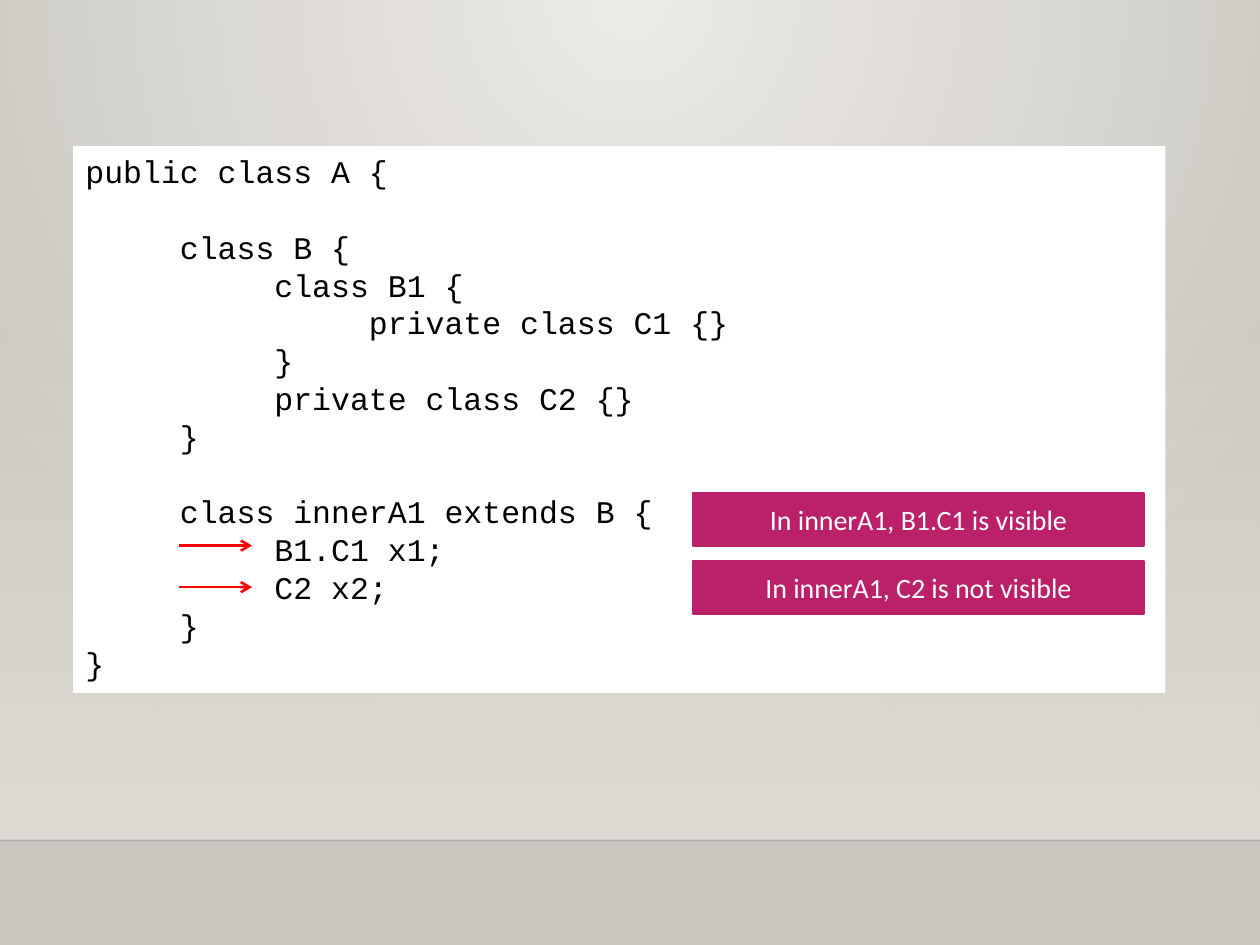
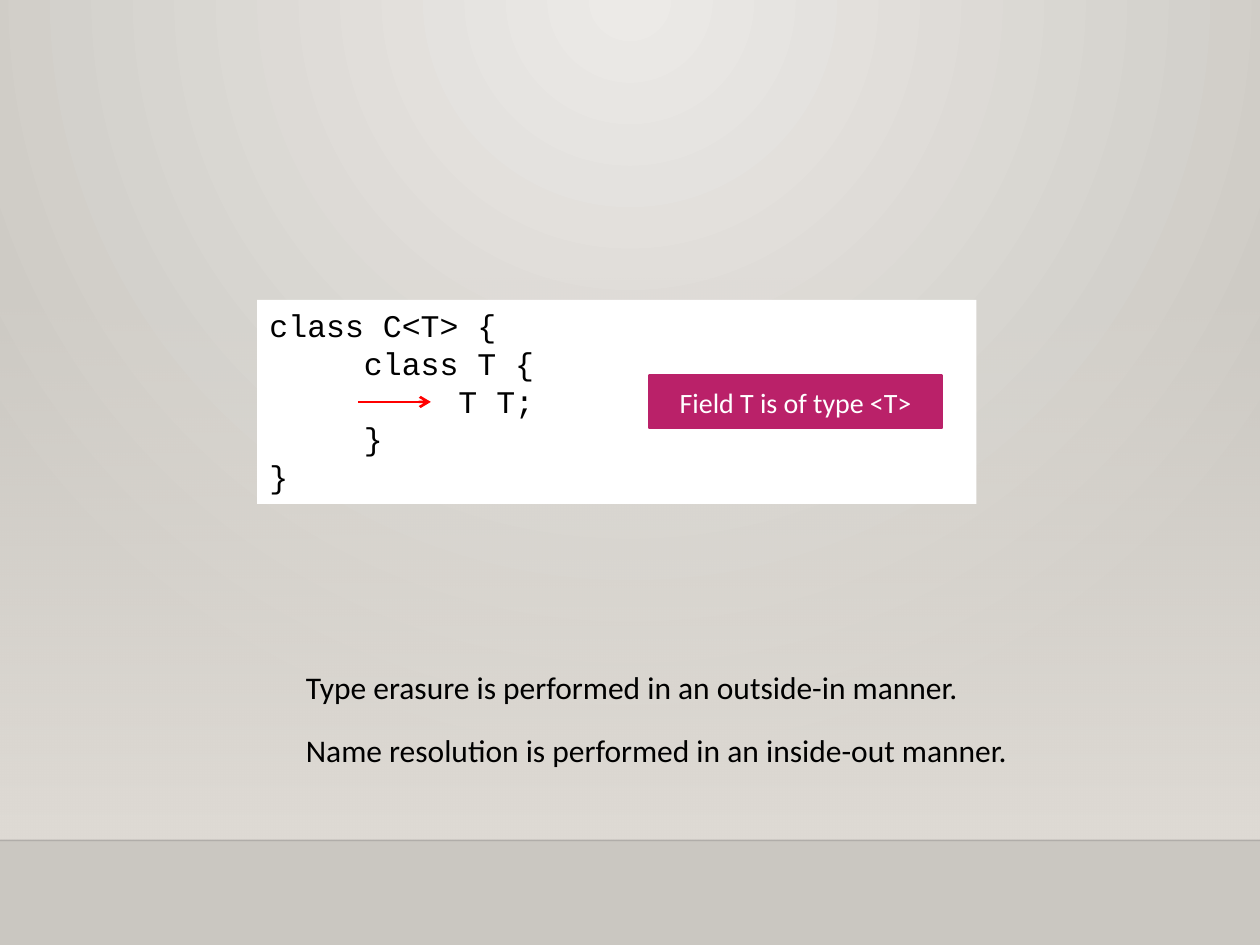
"""Builds two slides on the visibility and naming of Java inner classes."""
from lxml.etree import SubElement
from pptx import Presentation
from pptx.dml.color import RGBColor
from pptx.enum.shapes import MSO_CONNECTOR, MSO_SHAPE
from pptx.enum.text import MSO_ANCHOR, MSO_AUTO_SIZE, PP_ALIGN
from pptx.oxml import parse_xml
from pptx.oxml.ns import nsdecls, qn
from pptx.util import Inches, Pt

SLIDES = [
    {
        "code_at": (0.58, 1.16, 8.67, 4.34),
        "code": [
            (0, "public class A {"),
            (1, ""),
            (1, "class B {"),
            (2, "class B1 {"),
            (3, "private class C1 {}"),
            (2, "}"),
            (2, "private class C2 {}"),
            (1, "}"),
            (1, ""),
            (1, "class innerA1 extends B {"),
            (2, "B1.C1 x1;"),
            (2, "C2 x2;"),
            (1, "}"),
            (0, "}"),
        ],
        "callouts": [
            ("In innerA1, B1.C1 is visible", 5.5, 3.91, 3.58),
            ("In innerA1, C2 is not visible", 5.5, 4.45, 3.58),
        ],
        "arrows": [(1.42, 4.33), (1.42, 4.66)],
        "remarks": [],
    },
    {
        "code_at": (2.04, 2.38, 5.71, 1.62),
        "code": [
            (0, "class C<T> {"),
            (1, "class T {"),
            (2, "T T;"),
            (1, "}"),
            (0, "}"),
        ],
        "callouts": [("Field T is of type <T>", 5.15, 2.98, 2.33)],
        "arrows": [(2.84, 3.19)],
        "remarks": [
            ("Type erasure is performed in an outside-in manner.", 2.33, 5.25, 5.46),
            ("Name resolution is performed in an inside-out manner.", 2.33, 5.75, 5.8),
        ],
    },
]

COLOURS = {
    "glow": "ECEAE7",
    "stone": "CAC7C1",
    "band": "DFDBD5",
    "rule": "000001",
    "panel": "FFFFFF",
    "callout": "BA2169",
    "arrow": "FF0000",
    "dark": "000000",
    "light": "FFFFFF",
}
FONTS = {
    "code": {"name": "Courier New", "size": Pt(18), "colour": "dark"},
    "callout": {"name": "Calibri", "size": Pt(16), "colour": "light"},
    "remark": {"name": "Calibri", "size": Pt(18), "colour": "dark"},
}
WIDTH, HEIGHT = 10, 7.5
BAND_TOP, FLOOR = 2.2, 6.67
INDENT = " " * 5
CALLOUT_HEIGHT, REMARK_HEIGHT, ARROW_LENGTH = 0.42, 0.4, 0.58
CIRCLE = '<a:path path="circle"><a:fillToRect l="43000" r="43000" b="100000"/></a:path>'
DOWNWARD = '<a:lin ang="5400000" scaled="0"/>'


def rgb(name):
    return RGBColor.from_string(COLOURS[name])


def set_gradient(fill, owner, stops, direction):
    fill.gradient()
    gradient = next(owner.iter(qn("a:gradFill")))
    marks = "".join(
        f'<a:gs pos="{position * 1000}"><a:srgbClr val="{COLOURS[name]}">'
        f'<a:alpha val="{alpha * 1000}"/></a:srgbClr></a:gs>'
        for position, name, alpha in stops
    )
    gradient.getparent().replace(gradient, parse_xml(
        f'<a:gradFill rotWithShape="1" {nsdecls("a")}>'
        f"<a:gsLst>{marks}</a:gsLst>{direction}</a:gradFill>"
    ))


def add_box(page, left, top, width, height, colour=None, outline=None):
    box = page.shapes.add_shape(MSO_SHAPE.RECTANGLE, *map(Inches, (left, top, width, height)))
    box.shadow.inherit = False
    if colour:
        box.fill.solid()
        box.fill.fore_color.rgb = rgb(colour)
    if outline:
        box.line.color.rgb = rgb(colour)
        box.line.width = Pt(outline)
    else:
        box.line.fill.background()
    return box


def add_line(page, left, top, length, colour, weight):
    line = page.shapes.add_connector(
        MSO_CONNECTOR.STRAIGHT, *map(Inches, (left, top, left + length, top))
    )
    line.line.color.rgb = rgb(colour)
    line.line.width = Pt(weight)
    SubElement(line._element.spPr, qn("a:effectLst"))
    return line


def write(box, lines, style, align=PP_ALIGN.LEFT, **frame_format):
    frame = box.text_frame
    for key, value in frame_format.items():
        setattr(frame, key, value)
    for index, line in enumerate(lines):
        para = frame.add_paragraph() if index else frame.paragraphs[0]
        para.alignment = align
        span = para.add_run()
        span.text = line
        for key, value in FONTS[style].items():
            if key == "colour":
                span.font.color.rgb = rgb(value)
            else:
                setattr(span.font, key, value)


def add_backdrop(page):
    set_gradient(page.background.fill, page.element,
                 [(0, "glow", 100), (100, "stone", 100)], CIRCLE)
    band = add_box(page, 0, BAND_TOP, WIDTH, FLOOR - BAND_TOP)
    set_gradient(band.fill, band._element,
                 [(0, "band", 0), (100, "band", 100)], DOWNWARD)
    rule = add_line(page, 0, FLOOR, WIDTH, "rule", 1)
    tint = next(rule._element.spPr.iter(qn("a:srgbClr")))
    SubElement(tint, qn("a:alpha"), val="20000")


def add_content(page, content):
    panel = add_box(page, *content["code_at"], "panel")
    write(panel, [INDENT * depth + text for depth, text in content["code"]], "code",
          word_wrap=True, vertical_anchor=MSO_ANCHOR.TOP,
          auto_size=MSO_AUTO_SIZE.SHAPE_TO_FIT_TEXT)
    for text, left, top, width in content["callouts"]:
        callout = add_box(page, left, top, width, CALLOUT_HEIGHT, "callout", 1.25)
        write(callout, [text], "callout", PP_ALIGN.CENTER,
              word_wrap=True, vertical_anchor=MSO_ANCHOR.MIDDLE)
    for left, top in content["arrows"]:
        arrow = add_line(page, left, top, ARROW_LENGTH, "arrow", 1.5)
        SubElement(arrow.line._get_or_add_ln(), qn("a:tailEnd"), type="arrow")
    for text, left, top, width in content["remarks"]:
        remark = page.shapes.add_textbox(*map(Inches, (left, top, width, REMARK_HEIGHT)))
        write(remark, [text], "remark", word_wrap=False,
              auto_size=MSO_AUTO_SIZE.SHAPE_TO_FIT_TEXT)


def main():
    deck = Presentation()
    deck.slide_width, deck.slide_height = Inches(WIDTH), Inches(HEIGHT)
    for content in SLIDES:
        page = deck.slides.add_slide(deck.slide_layouts[6])
        add_backdrop(page)
        add_content(page, content)
    deck.save("out.pptx")


if __name__ == "__main__":
    main()
